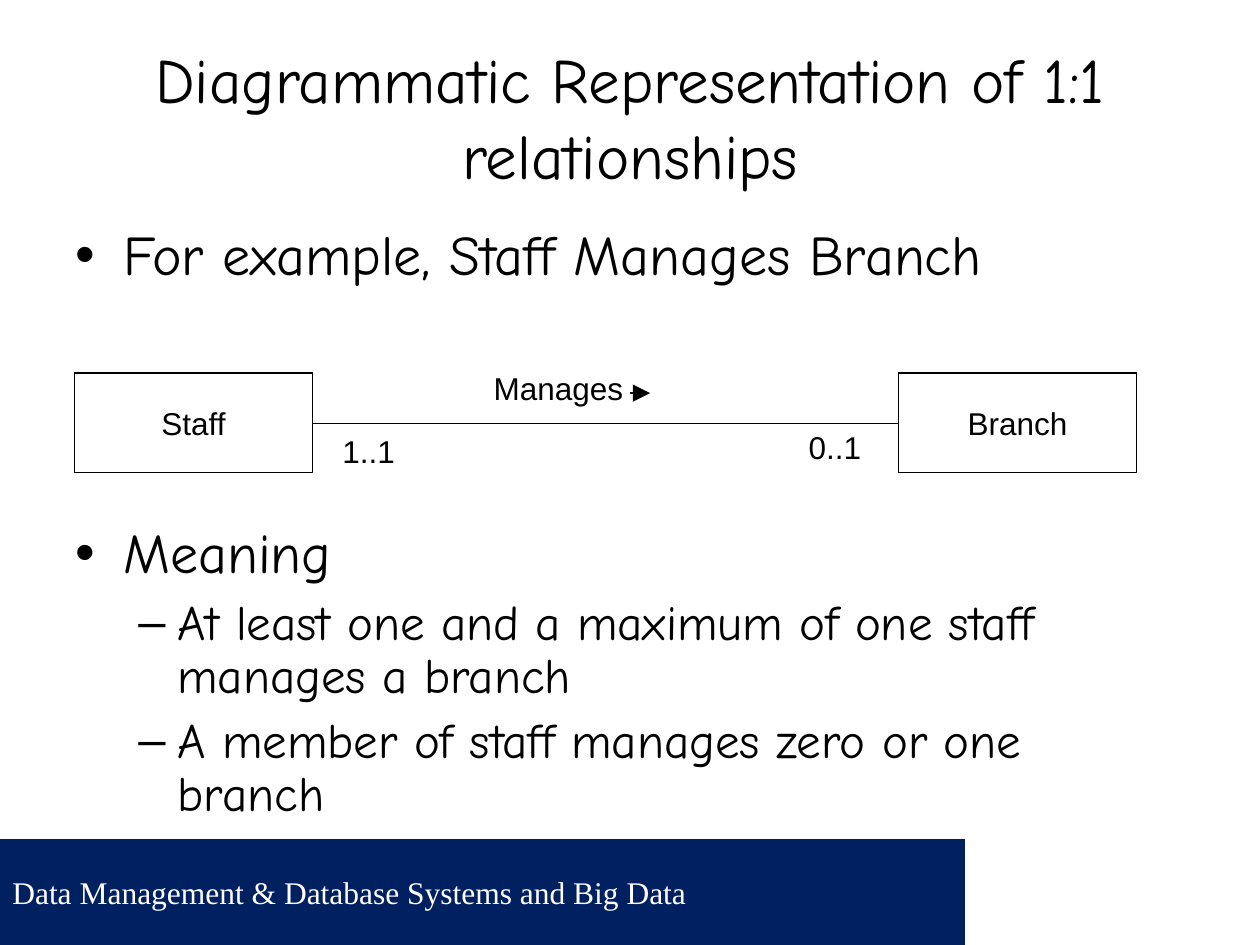
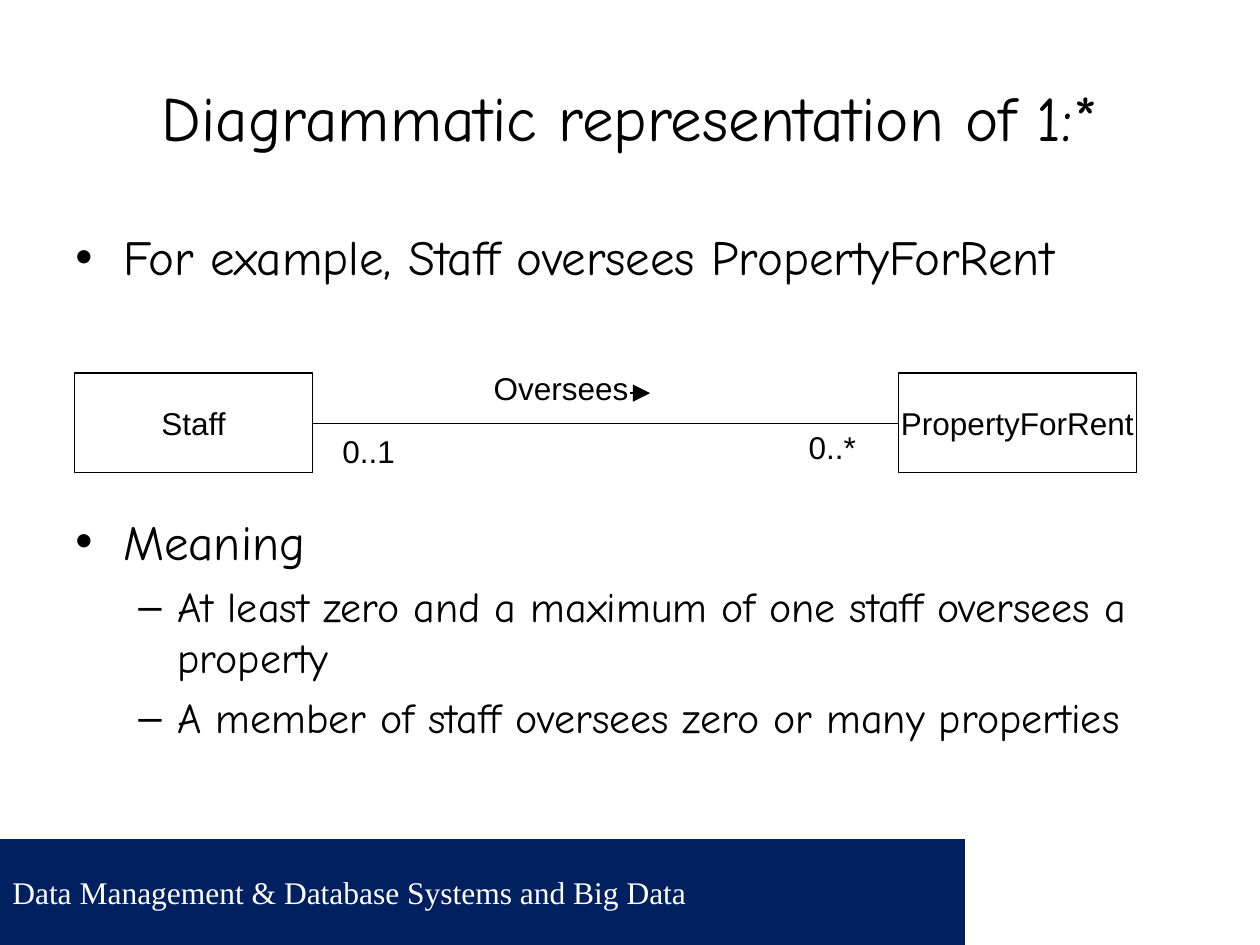
from dataclasses import dataclass

from lxml import etree
from pptx import Presentation
from pptx.dml.color import RGBColor
from pptx.enum.shapes import MSO_CONNECTOR, MSO_SHAPE
from pptx.enum.text import MSO_ANCHOR, MSO_AUTO_SIZE, PP_ALIGN
from pptx.oxml.ns import qn
from pptx.util import Inches, Pt


@dataclass(frozen=True)
class Theme:
    navy: RGBColor = RGBColor(0x00, 0x20, 0x60)
    white: RGBColor = RGBColor(0xFF, 0xFF, 0xFF)
    black: RGBColor = RGBColor(0x00, 0x00, 0x00)
    heading_font: str = "Comic Neue"
    diagram_font: str = "Arial"
    footer_font: str = "Times New Roman"
    title_size: int = 36
    small_size: int = 18
    line_width: float = 0.75


THEME = Theme()
COURSE = "Data Management & Database Systems and Big Data"

# Entity boxes
ENTITY_TOP, ENTITY_WIDTH, ENTITY_HEIGHT = 2.96, 1.89, 0.79
STAFF_LEFT, RELATED_LEFT = 0.59, 7.13
LINK_Y = 3.36

# Left, top and width of the relationship name and the two multiplicities
LABEL_PLACES = [(3.82, 2.88, 1.35), (2.62, 3.38, 0.7), (6.32, 3.35, 0.7)]

# Marker, left margin and hanging indent for each outline level
LEVELS = [("•", 0.38, -0.38), ("–", 0.81, -0.31)]

# Sizes and spacings run from the first outline level to the second;
# meaning_gap leaves room for the diagram
RELATIONSHIPS = [
    dict(
        title="Diagrammatic Representation of 1:1 relationships",
        example="For example, Staff Manages Branch",
        meanings=["At least one and a maximum of one staff manages a branch",
                  "A member of staff manages zero or one branch"],
        sizes=(32, 28), meaning_spacing=7, line_spacing=0.9, meaning_gap=136,
        related="Branch",
        labels=["Manages", "1..1", "0..1"],
    ),
    dict(
        title="Diagrammatic representation of 1:*",
        example="For example, Staff oversees PropertyForRent",
        meanings=["At least zero and a maximum of one staff oversees a property",
                  "A member of staff oversees zero or many properties"],
        sizes=(28, 24), meaning_spacing=6, line_spacing=1.0, meaning_gap=129,
        related="PropertyForRent",
        labels=["Oversees", "0..1", "0..*"],
    ),
]


def write(paragraph, text, font, size, color=THEME.black, align=PP_ALIGN.LEFT):
    paragraph.text = text
    paragraph.alignment = align
    for run in paragraph.runs:
        run.font.name = font
        run.font.size = Pt(size)
        run.font.color.rgb = color


def add_rectangle(slide, left, top, width, height, fill, outlined=False):
    rectangle = slide.shapes.add_shape(
        MSO_SHAPE.RECTANGLE, Inches(left), Inches(top), Inches(width), Inches(height))
    rectangle.shadow.inherit = False
    rectangle.fill.solid()
    rectangle.fill.fore_color.rgb = fill
    if outlined:
        rectangle.line.color.rgb = THEME.black
        rectangle.line.width = Pt(THEME.line_width)
    else:
        rectangle.line.fill.background()
    rectangle.text_frame.vertical_anchor = MSO_ANCHOR.MIDDLE
    return rectangle


prs = Presentation()
prs.slide_width, prs.slide_height = Inches(10), Inches(7.5)

for relationship in RELATIONSHIPS:
    slide = prs.slides.add_slide(prs.slide_layouts[6])

    # Footer band with a white area at its right end
    band = add_rectangle(slide, 0, 6.66, 10, 0.84, THEME.navy)
    write(band.text_frame.paragraphs[0], COURSE, THEME.footer_font,
          THEME.small_size, THEME.white)
    add_rectangle(slide, 7.66, 6.66, 2.34, 0.84, THEME.white)

    # Title
    title = slide.shapes.add_textbox(Inches(0.5), Inches(0.3), Inches(9), Inches(1.25))
    title.text_frame.word_wrap = True
    title.text_frame.vertical_anchor = MSO_ANCHOR.MIDDLE
    write(title.text_frame.paragraphs[0], relationship["title"],
          THEME.heading_font, THEME.title_size, align=PP_ALIGN.CENTER)

    # Example above the diagram, meaning below it
    outline = slide.shapes.add_textbox(Inches(0.5), Inches(1.75), Inches(8.9), Inches(4.95))
    outline.text_frame.word_wrap = True
    points = [(relationship["example"], 0, 0),
              ("Meaning", 0, relationship["meaning_gap"])]
    points += [(meaning, 1, relationship["meaning_spacing"])
               for meaning in relationship["meanings"]]
    for index, (text, level, space_before) in enumerate(points):
        point = (outline.text_frame.add_paragraph() if index
                 else outline.text_frame.paragraphs[0])
        marker, margin, indent = LEVELS[level]
        properties = point._p.get_or_add_pPr()
        properties.set("marL", str(Inches(margin)))
        properties.set("indent", str(Inches(indent)))
        marker_color = etree.SubElement(properties, qn("a:buClr"))
        etree.SubElement(marker_color, qn("a:srgbClr"), val=str(THEME.black))
        etree.SubElement(properties, qn("a:buFont"), typeface=THEME.diagram_font)
        etree.SubElement(properties, qn("a:buChar"), char=marker)
        point.level = level
        point.line_spacing = relationship["line_spacing"]
        if space_before:
            point.space_before = Pt(space_before)
        write(point, text, THEME.heading_font, relationship["sizes"][level])

    # Entities
    for name, left in (("Staff", STAFF_LEFT), (relationship["related"], RELATED_LEFT)):
        entity = add_rectangle(slide, left, ENTITY_TOP, ENTITY_WIDTH, ENTITY_HEIGHT,
                               THEME.white, outlined=True)
        entity.text_frame.word_wrap = False
        write(entity.text_frame.paragraphs[0], name, THEME.diagram_font,
              THEME.small_size, align=PP_ALIGN.CENTER)

    # Link between the entities, and the arrow giving its reading direction
    for start, end, y, has_arrow in ((STAFF_LEFT + ENTITY_WIDTH, RELATED_LEFT, LINK_Y, False),
                                     (5, 5.16, 3.12, True)):
        link = slide.shapes.add_connector(
            MSO_CONNECTOR.STRAIGHT, Inches(start), Inches(y), Inches(end), Inches(y))
        link.line.color.rgb = THEME.black
        link.line.width = Pt(THEME.line_width)
        if has_arrow:
            etree.SubElement(link.line._get_or_add_ln(), qn("a:tailEnd"),
                             type="triangle", w="lg", len="lg")
        etree.SubElement(link._element.spPr, qn("a:effectLst"))

    # Relationship name and multiplicities
    for text, (left, top, width) in zip(relationship["labels"], LABEL_PLACES):
        label = slide.shapes.add_textbox(Inches(left), Inches(top), Inches(width), Inches(0.4))
        label.text_frame.word_wrap = False
        label.text_frame.auto_size = MSO_AUTO_SIZE.SHAPE_TO_FIT_TEXT
        write(label.text_frame.paragraphs[0], text, THEME.diagram_font, THEME.small_size)

prs.save("out.pptx")
